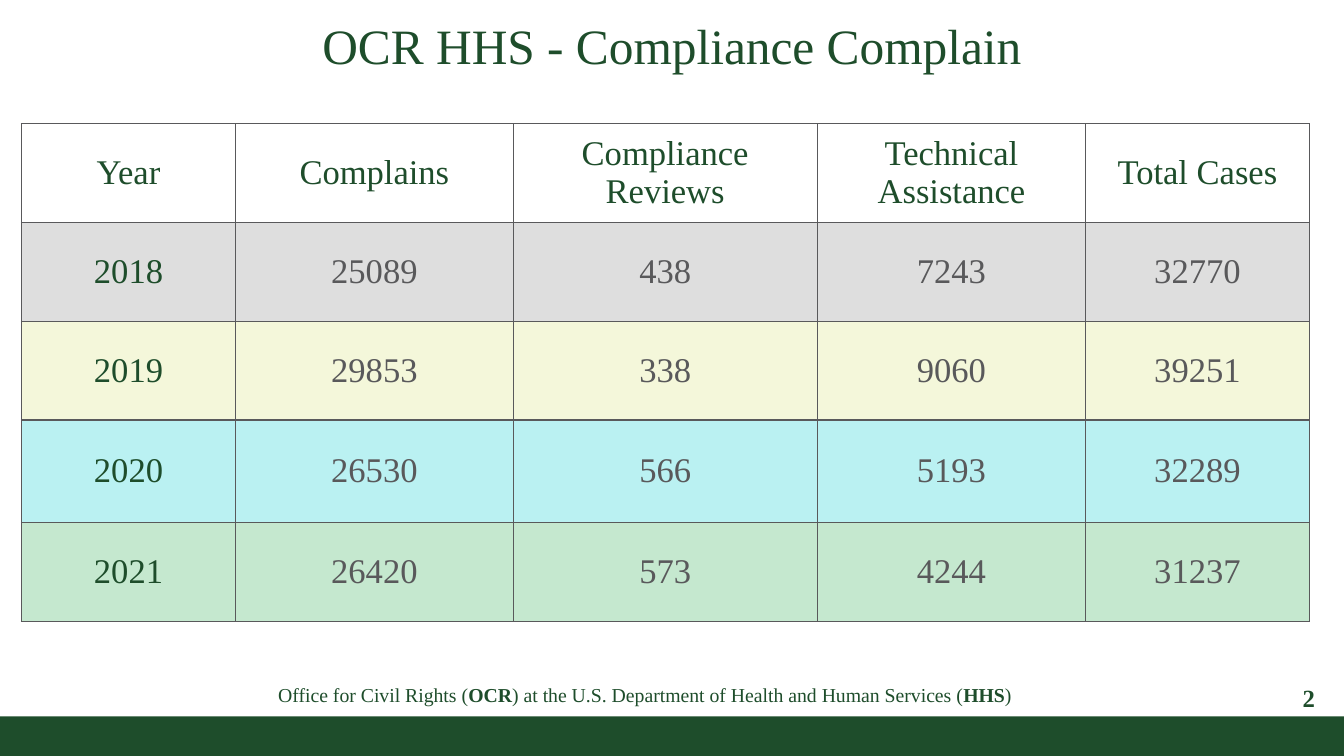
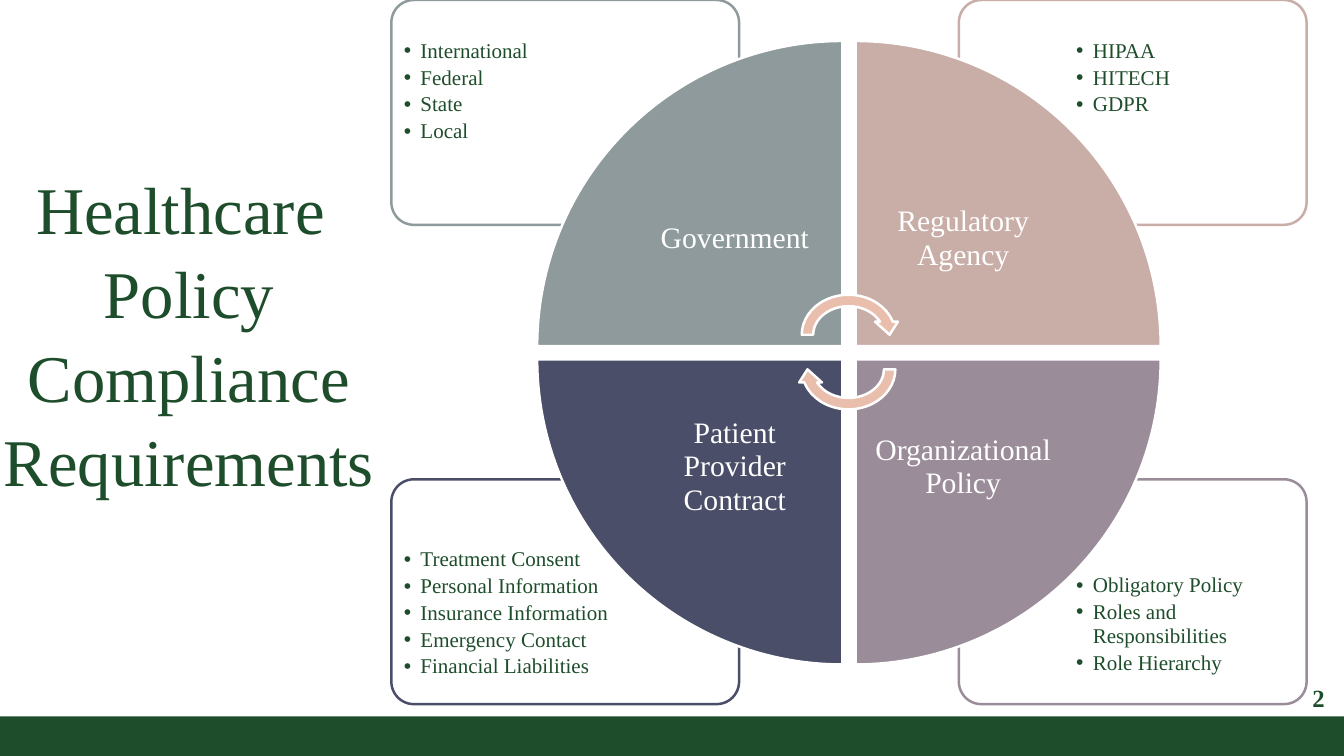
import lxml.etree
import pptx
import pptx.dml.color
import pptx.enum.shapes
import pptx.enum.text
import pptx.oxml.ns
import pptx.util

Pt = pptx.util.Pt
qn = pptx.oxml.ns.qn
SHAPE = pptx.enum.shapes.MSO_SHAPE
ALIGN = pptx.enum.text.PP_ALIGN
ANCHOR = pptx.enum.text.MSO_ANCHOR

FONT = "Times New Roman"
WIDTH, HEIGHT = 1088, 612
BAND_TOP = 580
COLORS = {
    "green": "1E4D2B", "gray": "59595B", "white": "FFFFFF", "arrow": "E9BEAD",
    "2018": "DEDEDE", "2019": "F4F7DA", "2020": "BAF1F2", "2021": "C5E8CF",
    "government": "8E9A9B", "agency": "C9ADA7",
    "contract": "4A4E69", "organization": "9A8C98",
}

CASES = [
    ["Year", "Complains", "Compliance Reviews", "Technical Assistance", "Total Cases"],
    ["2018", "25089", "438", "7243", "32770"],
    ["2019", "29853", "338", "9060", "39251"],
    ["2020", "26530", "566", "5193", "32289"],
    ["2021", "26420", "573", "4244", "31237"],
]
CASE_COLUMNS = [173.5, 224.6, 246.2, 217.4, 180.8]
CASE_ROWS = [80, 80, 80, 83, 80]

# Label, colour, column, row, rotation, list, space above the list
QUADRANTS = [
    ("Government", "government", 0, 0, 0,
     ["International", "Federal", "State", "Local"], 27.5),
    ("Regulatory Agency", "agency", 1, 0, 90, ["HIPAA", "HITECH", "GDPR"], 27.5),
    ("Patient Provider Contract", "contract", 0, 1, 270,
     ["Treatment Consent", "Personal Information", "Insurance Information",
      "Emergency Contact", "Financial Liabilities"], 6.5),
    ("Organizational Policy", "organization", 1, 1, 180,
     ["Obligatory Policy", "Roles and Responsibilities", "Role Hierarchy"], 27.5),
]


def rgb(name):
    return pptx.dml.color.RGBColor.from_string(COLORS[name])


def place(shape, left, top, width, height):
    shape.left, shape.top = Pt(left), Pt(top)
    shape.width, shape.height = Pt(width), Pt(height)


def write(frame, paragraphs, size, color="green", align=ALIGN.CENTER,
          spacing=1.0, after=0):
    """Each paragraph is a list of (text, bold) runs."""
    for number, runs in enumerate(paragraphs):
        paragraph = frame.add_paragraph() if number else frame.paragraphs[0]
        paragraph.alignment = align
        paragraph.line_spacing = spacing
        paragraph.space_before, paragraph.space_after = Pt(0), Pt(after)
        for text, bold in runs:
            run = paragraph.add_run()
            run.text = text
            run.font.name, run.font.size, run.font.bold = FONT, Pt(size), bold
            run.font.color.rgb = rgb(color)


def set_frame(frame, insets, anchor=ANCHOR.TOP):
    frame.word_wrap = True
    frame.auto_size = pptx.enum.text.MSO_AUTO_SIZE.NONE
    frame.vertical_anchor = anchor
    (frame.margin_left, frame.margin_top,
     frame.margin_right, frame.margin_bottom) = map(Pt, insets)


def add_label(slide, box, paragraphs, size, insets=(7.2, 3.6, 7.2, 3.6),
              anchor=ANCHOR.TOP, **style):
    label = slide.shapes.add_textbox(*map(Pt, box))
    set_frame(label.text_frame, insets, anchor)
    write(label.text_frame, paragraphs, size, **style)


def add_block(slide, kind, box, fill, line=None, rotation=0):
    block = slide.shapes.add_shape(kind, *map(Pt, box))
    block.shadow.inherit = False
    block.rotation = rotation
    block.fill.solid()
    block.fill.fore_color.rgb = rgb(fill)
    if line:
        block.line.color.rgb = rgb(line)
        block.line.width = Pt(2)
    else:
        block.line.fill.background()
    return block


def set_title(slide, box, lines, size, insets, spacing=1.0):
    title = slide.shapes.title
    place(title, *box)
    set_frame(title.text_frame, insets, ANCHOR.MIDDLE)
    write(title.text_frame, [[(line, False)] for line in lines], size, spacing=spacing)


def add_page_number(slide, align):
    add_label(slide, (1042.5, 549.5, 45, 31.5), [[(" 2", True)]], 20, align=align)


def move_band_to_master(prs, slide):
    band = add_block(slide, SHAPE.RECTANGLE,
                     (0, BAND_TOP, WIDTH, HEIGHT - BAND_TOP), "green")
    band.element.nvSpPr.cNvPr.set("id", "20")
    prs.slide_master.shapes.element.append(band.element)


def set_borders(cell):
    properties = cell._tc.get_or_add_tcPr()
    for number, side in enumerate(("a:lnL", "a:lnR", "a:lnT", "a:lnB")):
        line = lxml.etree.Element(qn(side), w=str(Pt(1)))
        fill = lxml.etree.SubElement(line, qn("a:solidFill"))
        lxml.etree.SubElement(fill, qn("a:srgbClr"), val=COLORS["gray"])
        properties.insert(number, line)


def add_cases_table(slide):
    table = slide.shapes.add_table(
        len(CASES), len(CASE_COLUMNS), Pt(17.3), Pt(100),
        Pt(sum(CASE_COLUMNS)), Pt(sum(CASE_ROWS))).table
    table.horz_banding = False
    for column, width in zip(table.columns, CASE_COLUMNS):
        column.width = Pt(width)
    for row, height, values in zip(table.rows, CASE_ROWS, CASES):
        row.height = Pt(height)
        for number, (cell, value) in enumerate(zip(row.cells, values)):
            is_figure = number > 0 and values[0] in COLORS
            cell.vertical_anchor = ANCHOR.MIDDLE
            if values[0] in COLORS:
                cell.fill.solid()
                cell.fill.fore_color.rgb = rgb(values[0])
            else:
                cell.fill.background()
            if is_figure:
                cell.margin_left = cell.margin_right = Pt(2)
                cell.margin_top = cell.margin_bottom = Pt(2)
            write(cell.text_frame, [[(value, False)]], 28,
                  "gray" if is_figure else "green")
            set_borders(cell)


def add_panel(slide, color, column, row):
    panel = add_block(slide, SHAPE.ROUNDED_RECTANGLE,
                      (316.8 + 459.4 * column, 388 * row, 281.5, 182), "white", color)
    panel.adjustments[0] = 0.1
    white = panel.element.spPr.find(qn("a:solidFill"))[0]
    lxml.etree.SubElement(white, qn("a:alpha"), val="90000")


def fill_list(slide, items, entries, column, row, space_above):
    place(items, 320.4 + 544.3 * column, 4.3 + 432.7 * row, 189.4, 129)
    set_frame(items.text_frame, (6.5, space_above, 6.5, 6.5))
    write(items.text_frame, [[(entry, False)] for entry in entries], 17,
          align=ALIGN.LEFT, spacing=0.94, after=2.5)
    for paragraph in items.text_frame.paragraphs:
        properties = paragraph._p.get_or_add_pPr()
        properties.set("marL", str(Pt(13.5)))
        properties.set("indent", str(Pt(-13.5)))
        lxml.etree.SubElement(properties, qn("a:buFont"), typeface="Arial")
        lxml.etree.SubElement(properties, qn("a:buChar"), char="•")
    # Lists lie above the panels
    slide.shapes.element.append(items.element)


def add_wedge(slide, label, color, column, row, rotation):
    side, label_side = 247, 174.2
    left, top = 434.9 + 257.7 * column, 33.2 + 257.7 * row
    add_block(slide, SHAPE.PIE_WEDGE, (left, top, side, side), color, "white", rotation)
    # The label fills the corner nearest the centre
    offset = side - label_side
    add_label(slide, (left + offset * (1 - column), top + offset * (1 - row),
                      label_side, label_side),
              [[(label, False)]], 24, (13.5,) * 4, ANCHOR.MIDDLE,
              color="white", spacing=0.94)


def build_cases(slide):
    set_title(slide, (0, 8, WIDTH, 57), ["OCR HHS - Compliance Complain"], 40,
              (8, 4, 8, 4))
    add_page_number(slide, ALIGN.LEFT)
    add_cases_table(slide)
    add_label(slide, (0.7, 549.5, 1042.5, 26.6), [[
        ("Office for Civil Rights (", False), ("OCR", True),
        (") at the U.S. Department of Health and Human Services (", False),
        ("HHS", True), (")", False)]], 16)


def build_requirements(slide):
    set_title(slide, (0, 134, 306, 269),
              ["Healthcare ", "Policy Compliance Requirements"], 54,
              (0, 3.6, 0, 3.6), 1.05)
    lists = [item for item in slide.placeholders if item.placeholder_format.idx]
    for items, quadrant in zip(lists, QUADRANTS):
        _, color, column, row, _, entries, space_above = quadrant
        add_panel(slide, color, column, row)
        fill_list(slide, items, entries, column, row, space_above)
    for label, color, column, row, rotation, _, _ in QUADRANTS:
        add_wedge(slide, label, color, column, row, rotation)
    # Cycle arrows
    for top, rotation in ((234, 0), (262, 180)):
        add_block(slide, SHAPE.CIRCULAR_ARROW, (644.4, top, 85, 74),
                  "arrow", "white", rotation)
    add_page_number(slide, ALIGN.CENTER)


def main():
    prs = pptx.Presentation()
    prs.slide_width, prs.slide_height = Pt(WIDTH), Pt(HEIGHT)
    title_only = prs.slide_layouts.get_by_name("Title Only")
    four_lists = prs.slide_layouts.get_by_name("Comparison")
    cases = prs.slides.add_slide(title_only)
    move_band_to_master(prs, cases)
    build_cases(cases)
    build_requirements(prs.slides.add_slide(four_lists))
    prs.save("out.pptx")


if __name__ == "__main__":
    main()
